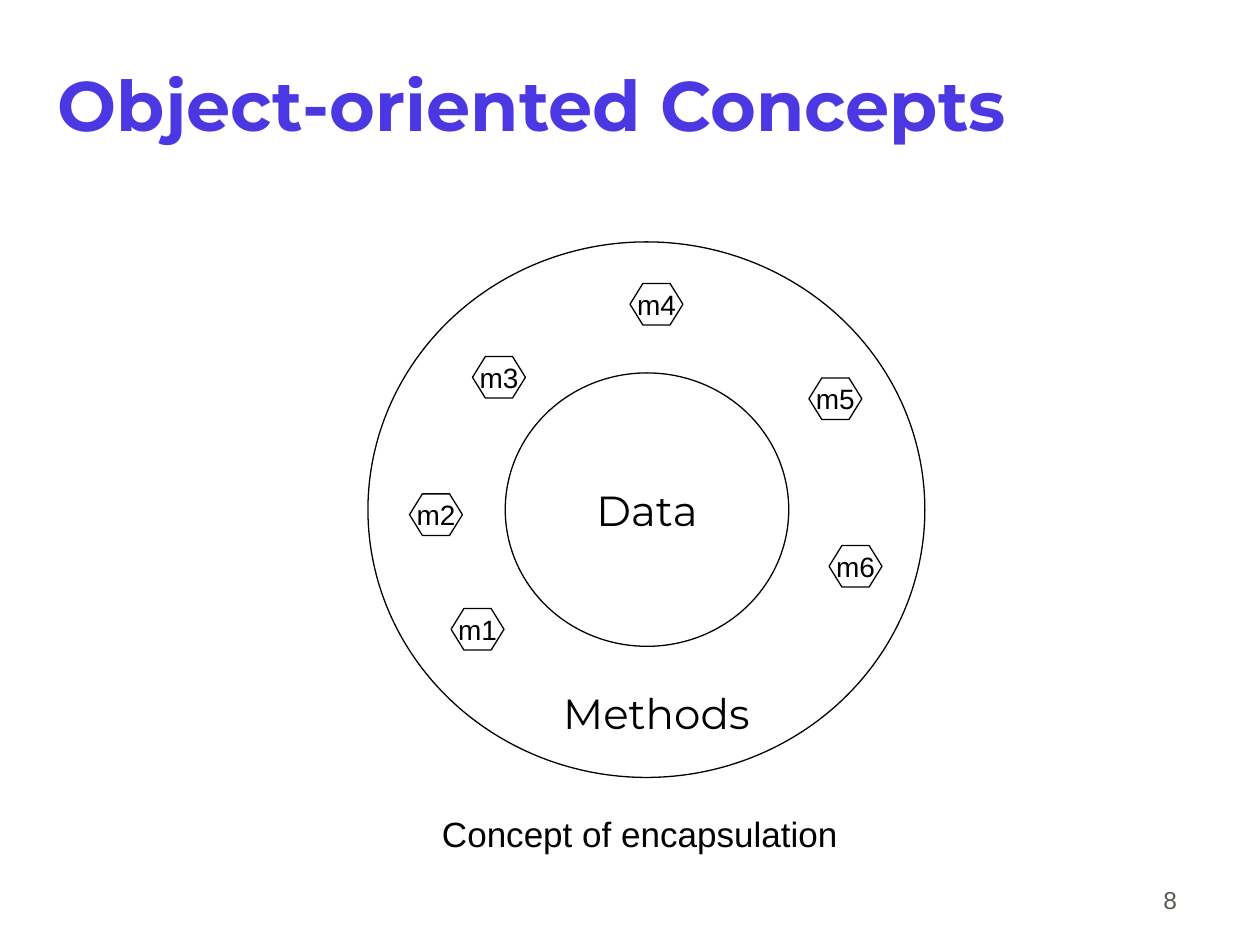
from dataclasses import dataclass

from pptx import Presentation
from pptx.dml.color import RGBColor
from pptx.enum.shapes import MSO_SHAPE
from pptx.enum.text import MSO_ANCHOR, MSO_AUTO_SIZE, PP_ALIGN
from pptx.shapes.autoshape import Shape
from pptx.slide import Slide
from pptx.util import Inches, Pt


@dataclass(frozen=True)
class Theme:
    heading_font: str = "Montserrat"
    body_font: str = "Arial"
    accent: RGBColor = RGBColor(0x4C, 0x38, 0xE2)
    ink: RGBColor = RGBColor(0, 0, 0)
    muted: RGBColor = RGBColor(0x5E, 0x57, 0x4E)
    title_size: int = 40
    ring_size: int = 24
    caption_size: int = 20
    method_size: int = 16
    number_size: int = 14
    line_width: float = 0.75


@dataclass(frozen=True)
class Area:
    left: float
    top: float
    width: float
    height: float

    def lengths(self) -> tuple[int, int, int, int]:
        return (Inches(self.left), Inches(self.top),
                Inches(self.width), Inches(self.height))


@dataclass(frozen=True)
class TextStyle:
    font: str
    size: int
    color: RGBColor
    align: PP_ALIGN = PP_ALIGN.CENTER
    anchor: MSO_ANCHOR = MSO_ANCHOR.MIDDLE
    inset: float = 0.1
    wrap: bool = False
    bold: bool = False
    space_before: float = 0


@dataclass(frozen=True)
class Method:
    name: str
    left: float
    top: float


THEME = Theme()
TITLE = TextStyle(THEME.heading_font, THEME.title_size, THEME.accent,
                  PP_ALIGN.LEFT, inset=0.02, wrap=True, bold=True,
                  space_before=13.6)
RING = TextStyle(THEME.heading_font, THEME.ring_size, THEME.ink)
METHOD = TextStyle(THEME.body_font, THEME.method_size, THEME.ink, inset=0)
CAPTION = TextStyle(THEME.body_font, THEME.caption_size, THEME.ink,
                    PP_ALIGN.LEFT, MSO_ANCHOR.TOP)
NUMBER = TextStyle(THEME.body_font, THEME.number_size, THEME.muted,
                   PP_ALIGN.RIGHT, MSO_ANCHOR.BOTTOM, wrap=True,
                   space_before=8.8)

METHODS = (
    Method("m1", 3.58, 4.83),
    Method("m2", 3.25, 3.92),
    Method("m3", 3.75, 2.83),
    Method("m4", 5, 2.25),
    Method("m5", 6.42, 3),
    Method("m6", 6.58, 4.33),
)


def write(shape: Shape, text: str, style: TextStyle) -> None:
    frame = shape.text_frame
    frame.text = text
    frame.auto_size = MSO_AUTO_SIZE.NONE
    frame.word_wrap = style.wrap
    frame.vertical_anchor = style.anchor
    frame.margin_left = frame.margin_right = Inches(style.inset)
    frame.margin_top = frame.margin_bottom = Inches(0.05 if style.inset else 0)
    paragraph = frame.paragraphs[0]
    paragraph.alignment = style.align
    paragraph.space_before = Pt(style.space_before)
    font = paragraph.font
    font.name, font.size, font.bold = style.font, Pt(style.size), style.bold
    font.color.rgb = style.color


def add_title(page: Slide, text: str, area: Area) -> None:
    title = page.shapes.title
    title.left, title.top, title.width, title.height = area.lengths()
    write(title, text, TITLE)


def add_label(page: Slide, text: str, area: Area, style: TextStyle) -> None:
    write(page.shapes.add_textbox(*area.lengths()), text, style)


def add_outline(page: Slide, kind: MSO_SHAPE, area: Area) -> Shape:
    """Add an unfilled preset shape with a thin dark line."""
    shape = page.shapes.add_shape(kind, *area.lengths())
    shape.shadow.inherit = False
    shape.fill.background()
    shape.line.color.rgb = THEME.ink
    shape.line.width = Pt(THEME.line_width)
    return shape


def add_method(page: Slide, method: Method) -> None:
    area = Area(method.left, method.top, 0.42, 0.33)
    hexagon = add_outline(page, MSO_SHAPE.HEXAGON, area)
    hexagon.adjustments[0] = 0.31
    write(hexagon, method.name, METHOD)


def main() -> None:
    deck = Presentation()
    deck.slide_width, deck.slide_height = Inches(10), Inches(7.5)
    page = deck.slides.add_slide(deck.slide_layouts.get_by_name("Title Only"))

    add_title(page, "Object-oriented Concepts", Area(0.44, 0.2, 8.5, 1.25))
    add_outline(page, MSO_SHAPE.OVAL, Area(2.92, 1.92, 4.42, 4.25))
    add_label(page, "Methods", Area(4.31, 5.41, 1.8, 0.5), RING)
    core = add_outline(page, MSO_SHAPE.OVAL, Area(4.01, 2.96, 2.25, 2.17))
    write(core, "Data", RING)
    for method in METHODS:
        add_method(page, method)
    add_label(page, "Concept of encapsulation", Area(3.41, 6.4, 3.34, 0.44),
              CAPTION)
    add_label(page, "8", Area(7.36, 6.81, 2.08, 0.5), NUMBER)

    deck.save("out.pptx")


if __name__ == "__main__":
    main()
